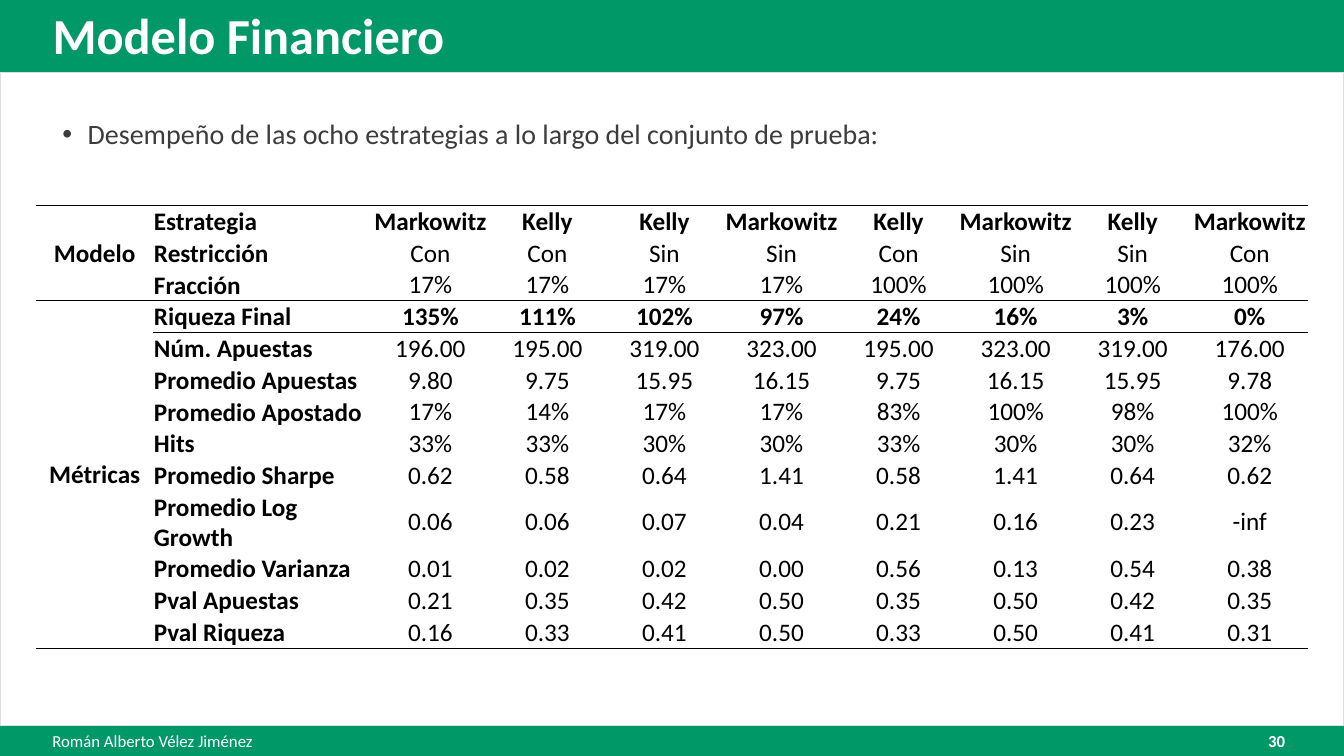
"""Build the slide comparing the eight betting strategies on the test set."""
from lxml.etree import SubElement
from pptx import Presentation
from pptx.dml.color import RGBColor
from pptx.enum.shapes import MSO_SHAPE
from pptx.enum.text import MSO_ANCHOR as Anchor, PP_ALIGN as Align
from pptx.oxml.ns import qn
from pptx.util import Cm, Pt

COLORS = {"green": "009867", "white": "FFFFFF", "frame": "DDDDDD", "gray": "3C3C3C", "black": "000000"}
NO_GRID_STYLE = "{2D5ABB26-0587-4C30-8999-92F81FD0307C}"
STRATEGY_ROWS = [
    ("Estrategia", "Markowitz Kelly Kelly Markowitz Kelly Markowitz Kelly Markowitz"),
    ("Restricción", "Con Con Sin Sin Con Sin Sin Con"),
    ("Fracción", "17% 17% 17% 17% 100% 100% 100% 100%"),
    ("Riqueza Final", "135% 111% 102% 97% 24% 16% 3% 0%"),
    ("Núm. Apuestas", "196.00 195.00 319.00 323.00 195.00 323.00 319.00 176.00"),
    ("Promedio Apuestas", "9.80 9.75 15.95 16.15 9.75 16.15 15.95 9.78"),
    ("Promedio Apostado", "17% 14% 17% 17% 83% 100% 98% 100%"),
    ("Hits", "33% 33% 30% 30% 33% 30% 30% 32%"),
    ("Promedio Sharpe", "0.62 0.58 0.64 1.41 0.58 1.41 0.64 0.62"),
    ("Promedio Log Growth", "0.06 0.06 0.07 0.04 0.21 0.16 0.23 -inf"),
    ("Promedio Varianza", "0.01 0.02 0.02 0.00 0.56 0.13 0.54 0.38"),
    ("Pval Apuestas", "0.21 0.35 0.42 0.50 0.35 0.50 0.42 0.35"),
    ("Pval Riqueza", "0.16 0.33 0.41 0.50 0.33 0.50 0.41 0.31"),
]
GROUPS = {0: ("Modelo", 2), 3: ("Métricas", 12)}
ROW_EDGES = {0: "T", 2: "B", 3: "T", 12: "B"}


def write(frame, text, size, color, bold=False, align=Align.LEFT):
    paragraph = frame.paragraphs[0]
    paragraph.text = text
    paragraph.alignment = align
    font_format = {"name": "Calibri", "size": Pt(size), "bold": bold}
    for attribute, value in font_format.items():
        setattr(paragraph.runs[0].font, attribute, value)
    paragraph.runs[0].font.color.rgb = RGBColor.from_string(COLORS[color])
    return paragraph


def draw_edges(cell, edges):
    for edge in edges:
        line = SubElement(cell._tc.get_or_add_tcPr(), qn(f"a:ln{edge}"), w=str(Pt(0.5)))
        fill = SubElement(line, qn("a:solidFill"))
        SubElement(fill, qn("a:srgbClr"), val=COLORS["black"])


prs = Presentation()
prs.slide_width, prs.slide_height = Cm(33.87), Cm(19.05)
slide = prs.slides.add_slide(prs.slide_layouts[5])
slide.background.fill.solid()
slide.background.fill.fore_color.rgb = RGBColor.from_string(COLORS["green"])

content_area = slide.shapes.add_shape(MSO_SHAPE.RECTANGLE, 0, Cm(1.83), prs.slide_width, Cm(16.46))
content_area.shadow.inherit = False
content_area.fill.solid()
content_area.fill.fore_color.rgb = RGBColor.from_string(COLORS["white"])
content_area.line.color.rgb = RGBColor.from_string(COLORS["frame"])
content_area.line.width = Pt(1)

heading = slide.shapes.title
heading_place = {"left": Cm(1.07), "top": Cm(0.46), "width": Cm(28.07), "height": Cm(0.99)}
for attribute, value in heading_place.items():
    setattr(heading, attribute, value)
heading.text_frame.vertical_anchor = Anchor.MIDDLE
write(heading.text_frame, "Modelo Financiero", 36, "white", True).line_spacing = 0.9

footer_parts = [
    (1.07, "Román Alberto Vélez Jiménez", False, Align.LEFT),
    (25.02, "30", True, Align.RIGHT),
]
for left, text, bold, align in footer_parts:
    footer = slide.shapes.add_textbox(Cm(left), Cm(18.3), Cm(7.62), Cm(0.75)).text_frame
    footer.word_wrap = True
    footer.vertical_anchor = Anchor.MIDDLE
    write(footer, text, 12, "white", bold, align)

table_frame = slide.shapes.add_table(len(STRATEGY_ROWS), 10, Cm(0.91), Cm(5.18), Cm(32.06), Cm(10.4))
results = table_frame.table
results.first_row = results.horz_banding = False
results._tbl.tblPr.find(qn("a:tableStyleId")).text = NO_GRID_STYLE
for column in results.columns:
    column.width = Cm(2.95)
results.columns[1].width = Cm(5.51)

for row, (metric, values) in enumerate(STRATEGY_ROWS):
    results.rows[row].height = Cm(0.8)
    group = GROUPS.get(row, ("", row))[0]
    for col, text in enumerate([group, metric, *values.split()]):
        cell = results.cell(row, col)
        cell_format = {
            "margin_left": Cm(0.02),
            "margin_right": Cm(0.02),
            "margin_top": Cm(0.02),
            "margin_bottom": 0,
            "vertical_anchor": Anchor.BOTTOM if col == 1 else Anchor.MIDDLE,
        }
        for attribute, value in cell_format.items():
            setattr(cell, attribute, value)
        draw_edges(cell, "TB" if col == 0 and row in GROUPS else ROW_EDGES.get(row, ""))
        cell.fill.background()
        if text:
            bold = col < 2 or metric in ("Estrategia", "Riqueza Final")
            write(cell.text_frame, text, 18, "black", bold, Align.LEFT if col == 1 else Align.CENTER)

for first_row, (group, last_row) in GROUPS.items():
    results.cell(first_row, 0).merge(results.cell(last_row, 0))

intro = slide.shapes.add_textbox(Cm(1.32), Cm(2.9), Cm(31.24), Cm(1.2)).text_frame
intro.word_wrap = True
summary = write(intro, "Desempeño de las ocho estrategias a lo largo del conjunto de prueba:", 20, "gray")
summary.line_spacing = 0.9
summary_props = summary._p.get_or_add_pPr()
summary_props.set("marL", str(Cm(0.64)))
summary_props.set("indent", str(-Cm(0.64)))
SubElement(summary_props, qn("a:buFont"), typeface="Arial")
SubElement(summary_props, qn("a:buChar"), char="•")

prs.save("out.pptx")
